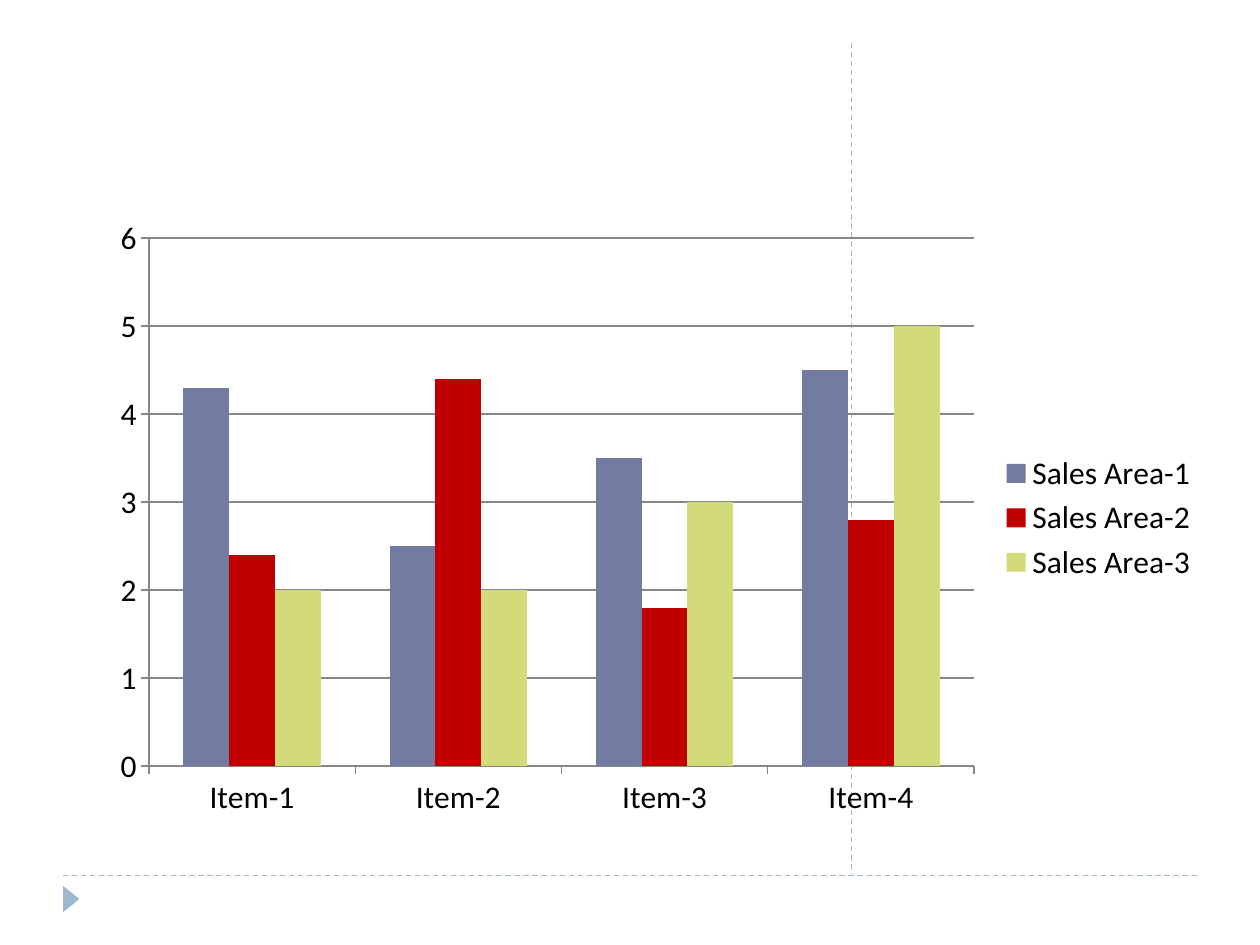
from pptx import Presentation
from pptx.chart.data import CategoryChartData
from pptx.dml.color import RGBColor
from pptx.enum.chart import XL_CHART_TYPE, XL_LEGEND_POSITION, XL_TICK_MARK
from pptx.enum.dml import MSO_LINE
from pptx.enum.shapes import MSO_CONNECTOR, MSO_SHAPE
from pptx.oxml.ns import qn
from pptx.util import Inches, Pt
from lxml.etree import SubElement

BLACK = RGBColor(0x00, 0x00, 0x00)
GRAY = RGBColor(0x87, 0x87, 0x87)
PALE_BLUE = RGBColor(0x9F, 0xB8, 0xCD)
SLATE = RGBColor(0x72, 0x7C, 0xA3)
RED = RGBColor(0xC0, 0x00, 0x00)
LIME = RGBColor(0xD2, 0xDA, 0x7A)

ITEMS = ["Item-1", "Item-2", "Item-3", "Item-4"]
SALES = [
    ("Sales Area-1", SLATE, (4.3, 2.5, 3.5, 4.5)),
    ("Sales Area-2", RED, (2.4, 4.4, 1.8, 2.8)),
    ("Sales Area-3", LIME, (2, 2, 3, 5)),
]


def add_dashed_line(page, *ends):
    line = page.shapes.add_connector(MSO_CONNECTOR.STRAIGHT, *map(Inches, ends))
    line.line.color.rgb = PALE_BLUE
    line.line.width = Pt(0.75)
    line.line.dash_style = MSO_LINE.DASH
    SubElement(line._element.spPr, qn("a:effectLst"))


def add_marker(page, *frame):
    marker = page.shapes.add_shape(MSO_SHAPE.ISOSCELES_TRIANGLE, *map(Inches, frame))
    marker.rotation = 90
    marker.shadow.inherit = False
    marker.fill.solid()
    marker.fill.fore_color.rgb = PALE_BLUE
    marker.line.fill.background()


def style_axis(axis):
    axis.major_tick_mark = XL_TICK_MARK.OUTSIDE
    axis.minor_tick_mark = XL_TICK_MARK.NONE
    axis.format.line.color.rgb = GRAY
    axis.format.line.width = Pt(0.75)


def add_sales_chart(page, *frame):
    data = CategoryChartData()
    data.categories = ITEMS
    for name, _, values in SALES:
        data.add_series(name, values)
    chart = page.shapes.add_chart(
        XL_CHART_TYPE.COLUMN_CLUSTERED, *map(Inches, frame), data).chart
    chart.has_title = False
    chart.font.name = "Calibri"
    chart.font.size = Pt(18)
    chart.font.color.rgb = BLACK

    # Legend
    chart.has_legend = True
    chart.legend.position = XL_LEGEND_POSITION.RIGHT
    chart.legend.include_in_layout = False

    # Axes and gridlines
    style_axis(chart.category_axis)
    scale = chart.value_axis
    style_axis(scale)
    scale.minimum_scale, scale.maximum_scale, scale.major_unit = 0, 6, 1
    scale.has_major_gridlines = True
    scale.major_gridlines.format.line.color.rgb = GRAY
    scale.major_gridlines.format.line.width = Pt(0.75)

    # Columns
    plot = chart.plots[0]
    plot.gap_width = 150
    plot.overlap = 0
    plot.vary_by_categories = False
    for series, (_, color, _) in zip(plot.series, SALES):
        series.invert_if_negative = False
        series.format.fill.solid()
        series.format.fill.fore_color.rgb = color


def main():
    deck = Presentation()
    deck.slide_width, deck.slide_height = Inches(10), Inches(7.5)
    page = deck.slides.add_slide(deck.slide_layouts[6])

    # Frame lines and corner marker
    add_dashed_line(page, 0.5, 6.95, 9.5, 6.95)
    add_dashed_line(page, 6.76, 0.34, 6.76, 6.94)
    add_marker(page, 0.46, 7.07, 0.21, 0.13)

    add_sales_chart(page, 0.78, 1.64, 8.83, 4.94)
    deck.save("out.pptx")


if __name__ == "__main__":
    main()
